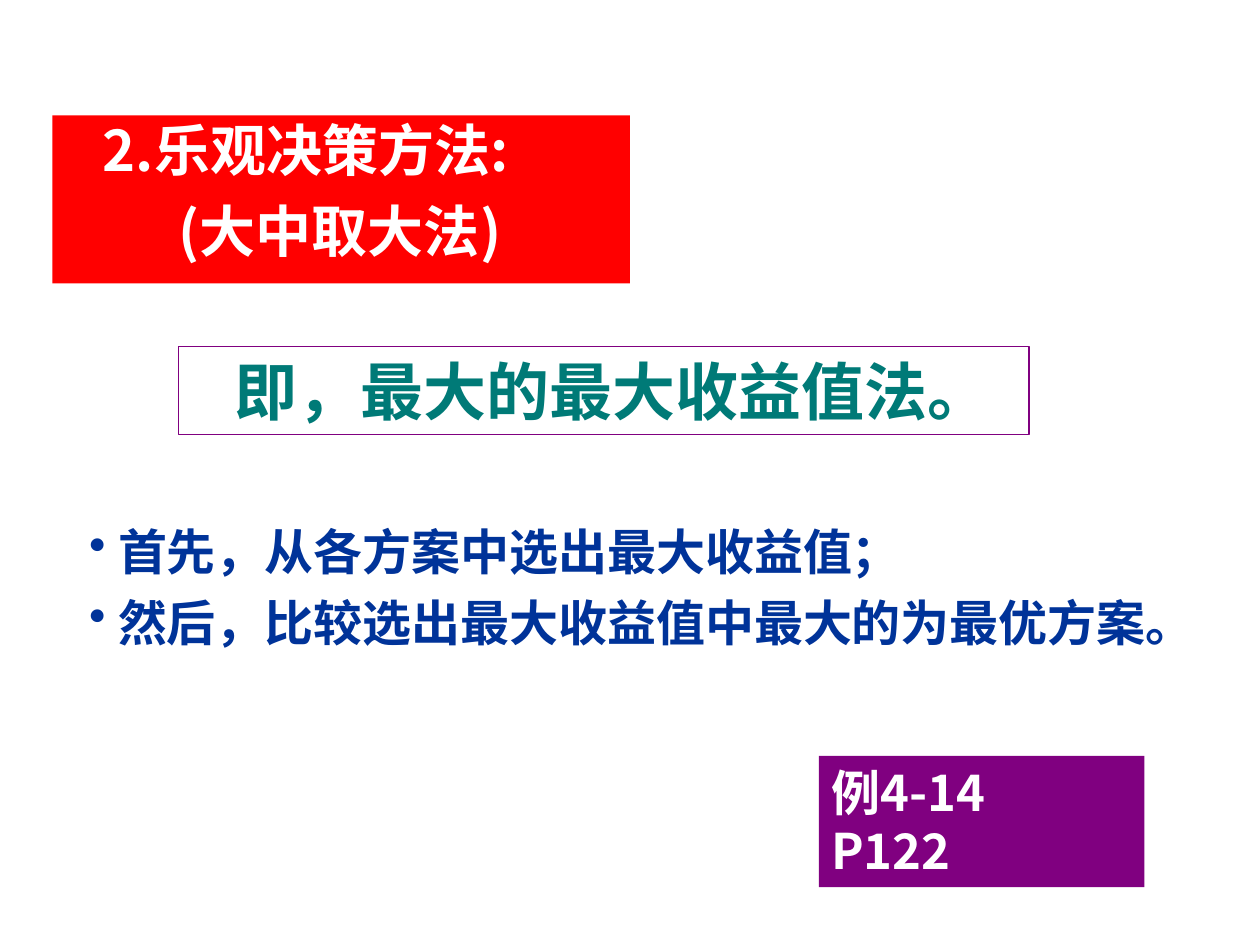
from pptx import Presentation
from pptx.dml.color import RGBColor
from pptx.enum.shapes import MSO_SHAPE
from pptx.enum.text import MSO_ANCHOR, PP_ALIGN
from pptx.oxml import parse_xml
from pptx.oxml.ns import nsdecls
from pptx.util import Inches, Pt

RECT = MSO_SHAPE.RECTANGLE
TOP = MSO_ANCHOR.TOP
LEFT = PP_ALIGN.LEFT
COLS, ROWS = 120, 90
SANS, CJK = "Arial", "Noto Sans CJK JP"
RED, PURPLE, TEAL, BLUE, WHITE = "FF0000", "800080", "007A77", "003399", "FFFFFF"


def color(code):
    return RGBColor.from_string(code)


class Deck:
    def __init__(self):
        self.prs = Presentation()
        self.prs.slide_width, self.prs.slide_height = Inches(10), Inches(7.5)
        self.slide = self.prs.slides.add_slide(self.prs.slide_layouts[5])

    def place(self, col, row, wide, high):
        """Turn grid cells into left, top, width and height."""
        x, y = self.prs.slide_width / COLS, self.prs.slide_height / ROWS
        return [round(n) for n in (col * x, row * y, wide * x, high * y)]

    def label(self, shape, lines, size, ink, font, indents=(0,), **form):
        """Fill a shape with one paragraph per line."""
        frame = shape.text_frame
        frame.text = "\n".join(lines)
        frame.word_wrap, frame.vertical_anchor = True, TOP
        style = {"size": Pt(size), "bold": True, "name": font}
        form = {"alignment": LEFT, **form}
        for para, indent in zip(frame.paragraphs, indents):
            for key, value in form.items():
                setattr(para, key, value)
            for key, value in style.items():
                setattr(para.font, key, value)
            para.font.color.rgb = color(ink)
            props = para._p.get_or_add_pPr()
            props.set("marL", str(Inches(indent)))
            props.set("indent", "0")

    def title(self, cells, fill, *text, **form):
        shape = self.slide.shapes.title
        shape.left, shape.top, shape.width, shape.height = self.place(*cells)
        shape.fill.solid()
        shape.fill.fore_color.rgb = color(fill)
        self.label(shape, *text, **form)
        shape.text_frame.margin_top = shape.text_frame.margin_bottom = 0

    def box(self, cells, fill, line, *text, **form):
        shape = self.slide.shapes.add_shape(RECT, *self.place(*cells))
        shape.shadow.inherit = False
        if fill:
            shape.fill.solid()
            shape.fill.fore_color.rgb = color(fill)
        else:
            shape.fill.background()
        if line:
            shape.line.color.rgb = color(line)
            shape.line.width = Pt(0.75)
        else:
            shape.line.fill.background()
        self.label(shape, *text, **form)

    def bullets(self, cells, lines, size, ink, font, hang, **form):
        shape = self.slide.shapes.add_textbox(*self.place(*cells))
        self.label(shape, lines, size, ink, font, [hang] * len(lines), **form)
        for para in shape.text_frame.paragraphs:
            props = para._p.get_or_add_pPr()
            props.set("indent", str(-Inches(hang)))
            mark = parse_xml(f'<a:buChar {nsdecls("a")} char="•"/>')
            props.insert_element_before(mark, "a:tabLst", "a:defRPr", "a:extLst")


def main():
    deck = Deck()
    deck.title((5, 11, 55, 16), RED, ["2.乐观决策方法:", "(大中取大法)"],
               32, WHITE, CJK, indents=(0.3, 0.9), space_before=Pt(8))
    deck.box((17, 33, 81, 8.4), None, PURPLE, ["即，最大的最大收益值法。"],
             36, TEAL, SANS, indents=(0.35,))
    deck.bullets((7.3, 48, 106.5, 14.6),
                 ["首先，从各方案中选出最大收益值；",
                  "然后，比较选出最大收益值中最大的为最优方案。"],
                 28, BLUE, SANS, 0.23, line_spacing=1.2)
    deck.box((78, 72, 31, 12.5), PURPLE, None, ["例4-14\vP122"], 28, WHITE, CJK)
    deck.prs.save("out.pptx")


if __name__ == "__main__":
    main()
